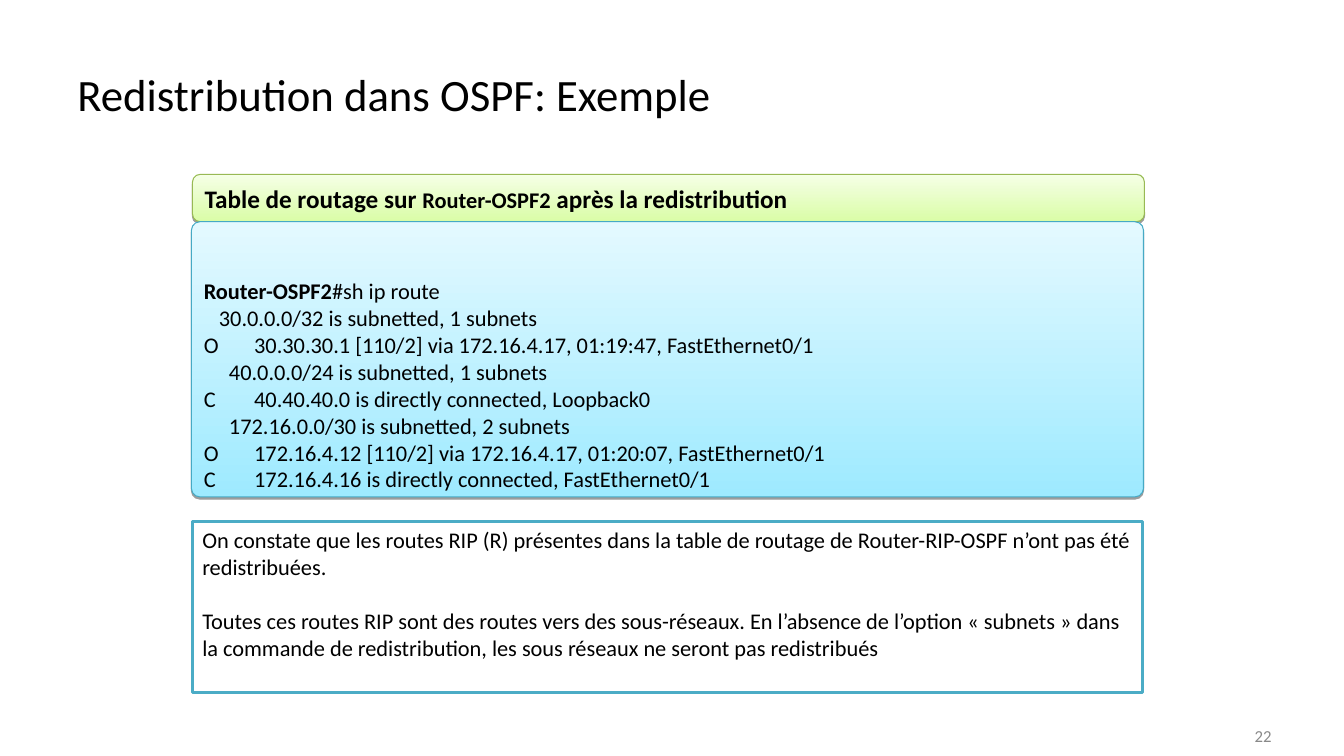
from lxml import etree
from pptx import Presentation
from pptx.dml.color import RGBColor
from pptx.enum.shapes import MSO_SHAPE
from pptx.enum.text import MSO_ANCHOR, PP_ALIGN
from pptx.oxml.ns import qn
from pptx.util import Inches, Pt

RECT, ROUND = MSO_SHAPE.RECTANGLE, MSO_SHAPE.ROUNDED_RECTANGLE
TOP, MIDDLE, BOTTOM = MSO_ANCHOR.TOP, MSO_ANCHOR.MIDDLE, MSO_ANCHOR.BOTTOM
LEFT, RIGHT = PP_ALIGN.LEFT, PP_ALIGN.RIGHT
FONT = "Calibri"
WIDTH, HEIGHT = 13.34, 7.5
CODE_TAB = 0.5

HEADING = [("Table de routage sur ", 18), ("Router-OSPF2", 16),
           (" après la redistribution", 18)]
PROMPT = [("Router-OSPF2", True), ("#sh ip route", False)]
ROUTES = [
    "   30.0.0.0/32 is subnetted, 1 subnets",
    "O\t30.30.30.1 [110/2] via 172.16.4.17, 01:19:47, FastEthernet0/1",
    "     40.0.0.0/24 is subnetted, 1 subnets",
    "C\t40.40.40.0 is directly connected, Loopback0",
    "     172.16.0.0/30 is subnetted, 2 subnets",
    "O\t172.16.4.12 [110/2] via 172.16.4.17, 01:20:07, FastEthernet0/1",
    "C\t172.16.4.16 is directly connected, FastEthernet0/1",
]
REMARKS = [
    "On constate que les routes RIP (R) présentes dans la table de routage "
    "de Router-RIP-OSPF n’ont pas été redistribuées.",
    "Toutes ces routes RIP sont des routes vers des sous-réseaux. En l’absence "
    "de l’option « subnets » dans la commande de redistribution, "
    "les sous réseaux ne seront pas redistribués",
]


def rgb(color):
    return RGBColor.from_string(color)


def set_frame(sp, anchor, bottom=0.05):
    tf = sp.text_frame
    tf.word_wrap = True
    tf.vertical_anchor = anchor
    tf.margin_bottom = Inches(bottom)
    return tf


def style(p, size, color="000000", align=LEFT):
    p.alignment = align
    p.font.name, p.font.size = FONT, Pt(size)
    p.font.color.rgb = rgb(color)


def add_label(slide, box, text, size, color="000000", align=LEFT):
    sp = slide.shapes.add_textbox(*map(Inches, box))
    p = set_frame(sp, MIDDLE).paragraphs[0]
    p.text = text
    style(p, size, color, align)


def add_box(slide, kind, box, line, width):
    sp = slide.shapes.add_shape(kind, *map(Inches, box))
    sp.shadow.inherit = False
    sp.line.color.rgb = rgb(line)
    sp.line.width = Pt(width)
    return sp


def add_panel(slide, box, radius, bottom_color, top_color, line):
    """Rounded box with a vertical gradient and a thin shadow below."""
    sp = add_box(slide, ROUND, box, line, 0.75)
    sp.adjustments[0] = radius
    sp.fill.gradient()
    sp.fill.gradient_angle = 90
    for stop, color, position in zip(sp.fill.gradient_stops,
                                     (bottom_color, top_color), (0, 1)):
        stop.color.rgb = rgb(color)
        stop.position = position
    effects = sp._element.spPr.find(qn("a:effectLst"))
    shadow = etree.SubElement(effects, qn("a:outerShdw"), blurRad="0",
                              dist=str(Pt(1.6)), dir="5400000", rotWithShape="0")
    black = etree.SubElement(shadow, qn("a:srgbClr"), val="000000")
    etree.SubElement(black, qn("a:alpha"), val="38000")
    return sp


def add_heading(slide, box):
    sp = add_panel(slide, box, 0.167, "DAFDA7", "F5FFE6", "98B954")
    p = set_frame(sp, MIDDLE).paragraphs[0]
    style(p, 18)
    p.font.bold = True
    for text, size in HEADING:
        r = p.add_run()
        r.text = text
        r.font.size = Pt(size)


def add_console(slide, box):
    sp = add_panel(slide, box, 0.031, "9EEAFF", "E4F9FF", "46AAC5")
    tf = set_frame(sp, BOTTOM, 0.02)
    p = tf.paragraphs[0]
    style(p, 16)
    for text, bold in PROMPT:
        r = p.add_run()
        r.text = text
        r.font.bold = bold
    for route in ROUTES:
        p = tf.add_paragraph()
        p.text = route
        p.alignment = LEFT
        tabs = etree.SubElement(p._p.get_or_add_pPr(), qn("a:tabLst"))
        etree.SubElement(tabs, qn("a:tab"), pos=str(Inches(CODE_TAB)), algn="l")
        style(p, 16)


def add_remarks(slide, box):
    sp = add_box(slide, RECT, box, "4BACC6", 2)
    sp.fill.solid()
    sp.fill.fore_color.rgb = rgb("FFFFFF")
    tf = set_frame(sp, TOP)
    for i, text in enumerate(REMARKS):
        p = tf.add_paragraph() if i else tf.paragraphs[0]
        p.text = text
        style(p, 16)
        if i:
            p.space_before = Pt(19.5)


def main():
    prs = Presentation()
    prs.slide_width, prs.slide_height = Inches(WIDTH), Inches(HEIGHT)
    slide = prs.slides.add_slide(prs.slide_layouts[6])
    add_label(slide, (0.67, 0.3, 12, 1.25), "Redistribution dans OSPF: Exemple", 32)
    add_label(slide, (9.61, 7.1, 3.11, 0.4), "22", 12, "898989", RIGHT)
    add_heading(slide, (1.91, 1.73, 9.45, 0.47))
    add_console(slide, (1.9, 2.2, 9.45, 2.73))
    add_remarks(slide, (1.91, 5.17, 9.43, 1.7))
    prs.save("out.pptx")


if __name__ == "__main__":
    main()
